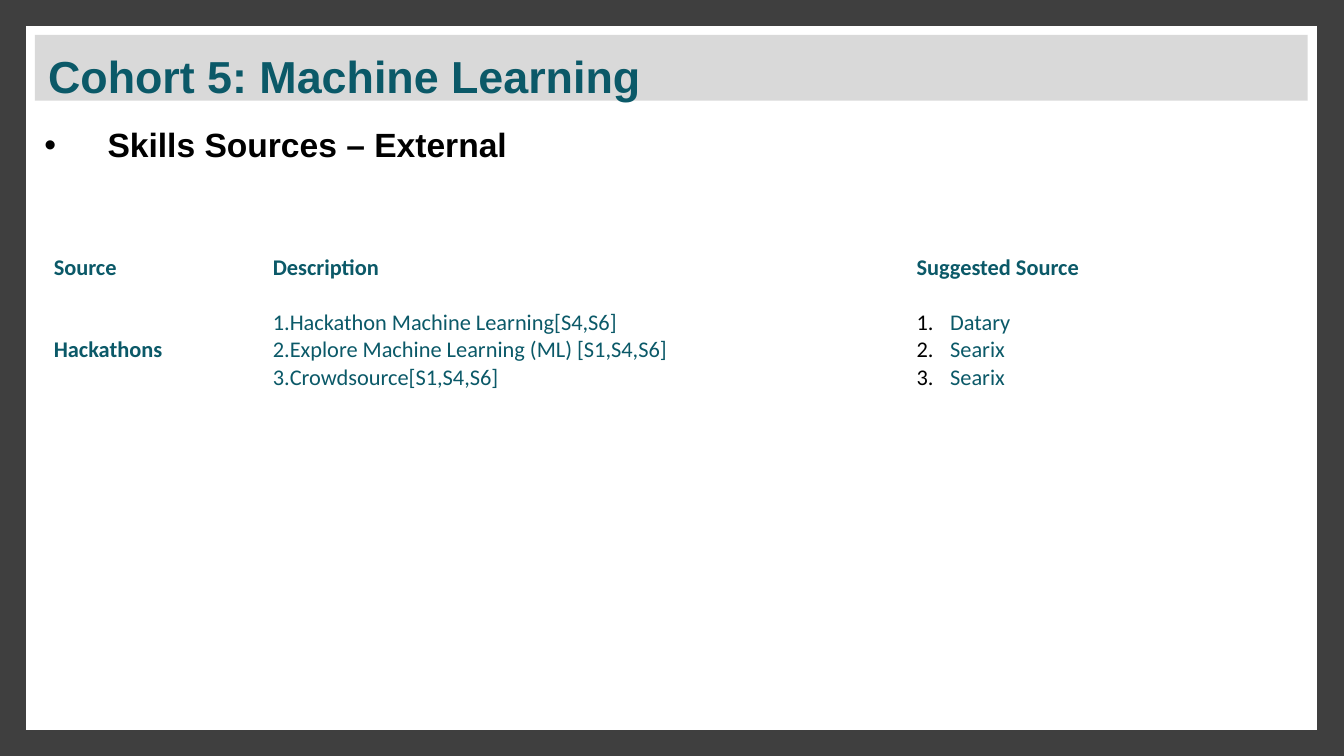
import pptx
import pptx.dml.color
import pptx.enum.shapes
import pptx.enum.text
import pptx.oxml.ns
import pptx.util
from lxml import etree

Inches = pptx.util.Inches
Pt = pptx.util.Pt
RGBColor = pptx.dml.color.RGBColor
MIDDLE = pptx.enum.text.MSO_ANCHOR.MIDDLE
qn = pptx.oxml.ns.qn

FRAME = RGBColor(0x3F, 0x3F, 0x3F)
WHITE = RGBColor(0xFF, 0xFF, 0xFF)
BAND = RGBColor(0xD9, 0xD9, 0xD9)
TEAL = RGBColor(0x0B, 0x59, 0x68)
BLACK = RGBColor(0x00, 0x00, 0x00)

SLIDE_WIDTH = 10
SLIDE_HEIGHT = SLIDE_WIDTH * 9 / 16
COLUMN_WIDTHS = [1.63, 4.79, 2.5]
ROW_HEIGHTS = [0.21, 1.02]
HEADINGS = ["Source", "Description", "Suggested Source"]
HACKATHONS = [
    "Hackathon Machine Learning[S4,S6]",
    "Explore Machine Learning (ML) [S1,S4,S6]",
    "Crowdsource[S1,S4,S6]",
]
PROVIDERS = ["Datary", "Searix", "Searix"]


def add_panel(slide, left, top, width, height, fill, outline=None):
    panel = slide.shapes.add_shape(
        pptx.enum.shapes.MSO_SHAPE.RECTANGLE,
        Inches(left), Inches(top), Inches(width), Inches(height))
    panel.shadow.inherit = False
    panel.fill.solid()
    panel.fill.fore_color.rgb = fill
    if outline is None:
        panel.line.fill.background()
    else:
        panel.line.color.rgb = outline
        panel.line.width = Pt(10)
        etree.SubElement(panel.line._ln, qn("a:miter"), lim="800000")
    return panel


def set_margins(holder, left, top, right, bottom):
    holder.margin_left = Inches(left)
    holder.margin_top = Inches(top)
    holder.margin_right = Inches(right)
    holder.margin_bottom = Inches(bottom)


def write(paragraph, wording, font, size, color, bold):
    paragraph.alignment = pptx.enum.text.PP_ALIGN.LEFT
    run = paragraph.add_run()
    run.text = wording
    run.font.name = font
    run.font.size = Pt(size)
    run.font.bold = bold
    run.font.color.rgb = color


def add_marker(paragraph, color, margin, indent, tag, **attributes):
    properties = paragraph._p.get_or_add_pPr()
    properties.set("marL", str(Inches(margin)))
    properties.set("indent", str(Inches(indent)))
    marker_color = etree.SubElement(properties, qn("a:buClr"))
    etree.SubElement(marker_color, qn("a:srgbClr"), val=str(color))
    etree.SubElement(properties, qn("a:buFont"),
                     typeface="Arial" if tag == "a:buChar" else "+mj-lt")
    etree.SubElement(properties, qn(tag), **attributes)


def add_title(slide, wording):
    band = add_panel(slide, 0.26, 0.26, 9.47, 0.49, BAND)
    frame = band.text_frame
    frame.word_wrap = True
    frame.vertical_anchor = pptx.enum.text.MSO_ANCHOR.TOP
    set_margins(frame, 0.1, 0.1, 0.1, 0.1)
    write(frame.paragraphs[0], wording, "Arial", 24, TEAL, True)


def add_subtitle(slide, wording):
    subtitle = slide.shapes.add_textbox(
        Inches(0.26), Inches(0.9), Inches(8.62), Inches(0.38))
    frame = subtitle.text_frame
    frame.word_wrap = True
    frame.vertical_anchor = MIDDLE
    set_margins(frame, 0.07, 0.04, 0.07, 0.04)
    paragraph = frame.paragraphs[0]
    add_marker(paragraph, BLACK, 0.47, -0.47, "a:buChar", char="•")
    paragraph.line_spacing = 0.9
    write(paragraph, wording, "Arial", 18, BLACK, True)


def fill_label(cell, wording):
    write(cell.text_frame.paragraphs[0], wording, "Calibri", 12, TEAL, True)


def fill_numbered(cell, entries, number_color, margin, indent):
    frame = cell.text_frame
    for index, entry in enumerate(entries):
        paragraph = frame.add_paragraph() if index else frame.paragraphs[0]
        add_marker(paragraph, number_color, margin, indent,
                   "a:buAutoNum", type="arabicPeriod")
        write(paragraph, entry, "Calibri", 12, TEAL, False)


def add_sources_table(slide):
    sources = slide.shapes.add_table(
        len(ROW_HEIGHTS), len(COLUMN_WIDTHS), Inches(0.39), Inches(1.88),
        Inches(sum(COLUMN_WIDTHS)), Inches(sum(ROW_HEIGHTS))).table
    sources.first_row = False
    sources.horz_banding = False
    for column, width in zip(sources.columns, COLUMN_WIDTHS):
        column.width = Inches(width)
    for row, height in zip(sources.rows, ROW_HEIGHTS):
        row.height = Inches(height)
    for cell in sources.iter_cells():
        cell.fill.background()
        cell.vertical_anchor = MIDDLE
        set_margins(cell, 0.01, 0.01, 0.01, 0)
    for index, heading in enumerate(HEADINGS):
        fill_label(sources.cell(0, index), heading)
    fill_label(sources.cell(1, 0), "Hackathons")
    fill_numbered(sources.cell(1, 1), HACKATHONS, TEAL, 0, -0.08)
    fill_numbered(sources.cell(1, 2), PROVIDERS, BLACK, 0.25, -0.25)


def main():
    deck = pptx.Presentation()
    deck.slide_width = Inches(SLIDE_WIDTH)
    deck.slide_height = Inches(SLIDE_HEIGHT)
    slide = deck.slides.add_slide(deck.slide_layouts[6])
    add_panel(slide, 0, 0, SLIDE_WIDTH, SLIDE_HEIGHT, FRAME)
    add_panel(slide, 0.26, 0.26, 9.47, 5.1, WHITE, WHITE)
    add_title(slide, "Cohort 5: Machine Learning")
    add_subtitle(slide, "Skills Sources – External")
    add_sources_table(slide)
    deck.save("out.pptx")


if __name__ == "__main__":
    main()
